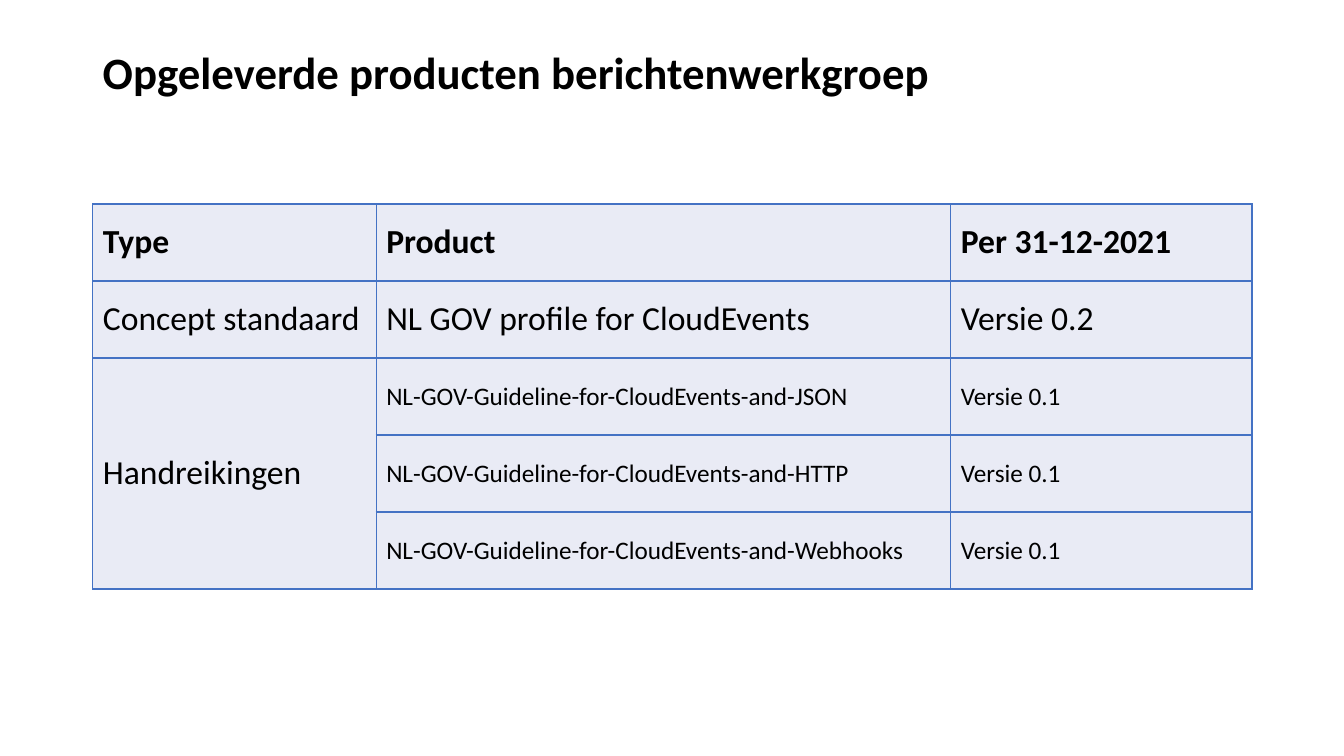
from dataclasses import dataclass

from lxml.etree import SubElement
from pptx import Presentation
from pptx.dml.color import RGBColor
from pptx.enum.text import MSO_ANCHOR
from pptx.oxml.ns import qn
from pptx.table import _Cell
from pptx.text.text import TextFrame
from pptx.util import Cm, Pt

COLORS = {"text": "000000", "cell": "E9EBF5", "border": "4472C4"}
FONT = "Calibri"
LEFT, WIDTH = 2.34, 29.21
COL_WIDTHS = (7.14, 14.48, 7.59)
ROW_HEIGHT = 1.94


@dataclass
class ProductRow:
    kind: str
    product: str
    version: str
    size: int = 24
    bold: bool = False


HEADER = ProductRow("Type", "Product", "Per 31-12-2021", bold=True)
STANDARD = ProductRow("Concept standaard", "NL GOV profile for CloudEvents", "Versie 0.2")
GUIDELINES = [
    ProductRow("", f"NL-GOV-Guideline-for-CloudEvents-and-{topic}", "Versie 0.1", size=18)
    for topic in ("JSON", "HTTP", "Webhooks")
]
ROWS = [HEADER, STANDARD, *GUIDELINES]
FIRST_GUIDELINE = ROWS.index(GUIDELINES[0])


def add_text(tf: TextFrame, text: str, size: int, bold: bool) -> None:
    r = tf.paragraphs[0].add_run()
    r.text = text
    r.font.name = FONT
    r.font.size = Pt(size)
    r.font.bold = bold
    r.font.color.rgb = RGBColor.from_string(COLORS["text"])


def style_cell(cell: _Cell) -> None:
    cell.vertical_anchor = MSO_ANCHOR.MIDDLE
    tcPr = cell._tc.get_or_add_tcPr()
    # Borders come before the fill in the cell properties
    for side in ("a:lnL", "a:lnR", "a:lnT", "a:lnB"):
        ln = SubElement(tcPr, qn(side), w=str(Pt(1)))
        fill = SubElement(ln, qn("a:solidFill"))
        SubElement(fill, qn("a:srgbClr"), val=COLORS["border"])
    cell.fill.solid()
    cell.fill.fore_color.rgb = RGBColor.from_string(COLORS["cell"])


def main() -> None:
    prs = Presentation()
    prs.slide_width, prs.slide_height = Cm(33.87), Cm(19.05)
    s = prs.slides.add_slide(prs.slide_layouts[6])

    # Title
    tf = s.shapes.add_textbox(Cm(LEFT), Cm(1.02), Cm(WIDTH), Cm(1.75)).text_frame
    tf.word_wrap = True
    tf.vertical_anchor = MSO_ANCHOR.MIDDLE
    tf.paragraphs[0].line_spacing = 0.9
    add_text(tf, "Opgeleverde producten berichtenwerkgroep", 32, True)

    # Table grid
    table = s.shapes.add_table(
        len(ROWS), len(COL_WIDTHS), Cm(LEFT), Cm(5.14), Cm(WIDTH), Cm(ROW_HEIGHT * len(ROWS))
    ).table
    table.first_row = table.horz_banding = False
    for column, width in zip(table.columns, COL_WIDTHS):
        column.width = Cm(width)

    # Table contents
    for i, row in enumerate(ROWS):
        table.rows[i].height = Cm(ROW_HEIGHT)
        for j, text in enumerate((row.kind, row.product, row.version)):
            cell = table.cell(i, j)
            style_cell(cell)
            if text:
                add_text(cell.text_frame, text, row.size, row.bold)

    # One type cell spans all guidelines
    guideline_cell = table.cell(FIRST_GUIDELINE, 0)
    guideline_cell.merge(table.cell(len(ROWS) - 1, 0))
    add_text(guideline_cell.text_frame, "Handreikingen", 24, False)

    prs.save("out.pptx")


if __name__ == "__main__":
    main()
